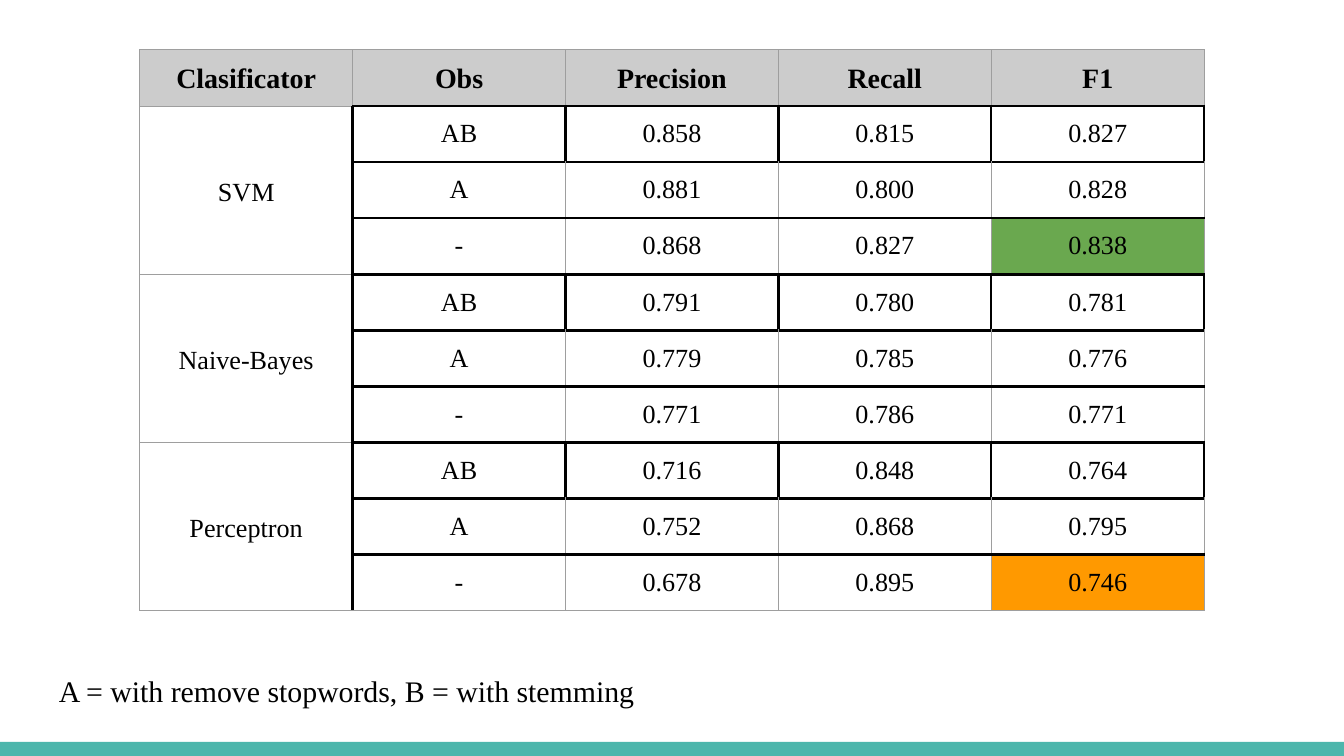
from lxml import etree
from pptx import Presentation, util as u
from pptx.dml import color
from pptx.enum import shapes, text
from pptx.oxml import ns

FONT = "Times New Roman"
GRAY, BLACK = ("9E9E9E", 0.75), ("000000", 1.5)
HEADS = ["Clasificator", "Obs", "Precision", "Recall", "F1"]
MODES = ["AB", "A", "-"]
SCORES = {
    "SVM": [("0.858", "0.815", "0.827"),
            ("0.881", "0.800", "0.828"),
            ("0.868", "0.827", "0.838")],
    "Naive-Bayes": [("0.791", "0.780", "0.781"),
                    ("0.779", "0.785", "0.776"),
                    ("0.771", "0.786", "0.771")],
    "Perceptron": [("0.716", "0.848", "0.764"),
                   ("0.752", "0.868", "0.795"),
                   ("0.678", "0.895", "0.746")],
}
MARKS = {(3, 4): "6AA84F", (9, 4): "FF9900"}


def rgb(code):
    return color.RGBColor.from_string(code)


def paint(item, code):
    if code is None:
        item.fill.background()
        return
    item.fill.solid()
    item.fill.fore_color.rgb = rgb(code)


def assign(item, values):
    for name, value in values.items():
        setattr(item, name, value)


def write(par, words, size, bold=False):
    run = par.add_run()
    run.text = words
    assign(run.font, {"name": FONT, "size": u.Pt(size), "bold": bold})
    run.font.color.rgb = rgb("000000")


def pads(length, base):
    sides = {"left": length, "top": length, "right": length, "bottom": base}
    return {f"margin_{side}": u.Inches(gap) for side, gap in sides.items()}


def edge(cell, lines):
    """Put the borders ahead of the fill, as the schema orders them."""
    props = cell._tc.get_or_add_tcPr()
    for spot, side in enumerate("LRTB"):
        code, width = lines[side]
        line = etree.Element(ns.qn(f"a:ln{side}"), w=str(u.Pt(width)))
        fill = etree.SubElement(line, ns.qn("a:solidFill"))
        etree.SubElement(fill, ns.qn("a:srgbClr"), val=code)
        props.insert(spot, line)


def rules(row, col, last):
    """Black under each row and around AB cells, gray elsewhere."""
    body = row > 0 and col > 0
    box = body and row % 3 == 1
    dark = {
        "L": box or (body and col == 1),
        "R": box or (row > 0 and col == 0),
        "T": body,
        "B": col > 0 and row < last,
    }
    return {side: BLACK if on else GRAY for side, on in dark.items()}


def add_grid(slide):
    rows = [HEADS]
    for name, block in SCORES.items():
        for mode, nums in zip(MODES, block):
            rows.append([name if mode == "AB" else "", mode, *nums])
    count, width, high = len(rows), 7.92, 4.17
    frame = slide.shapes.add_table(
        count, len(HEADS), u.Inches(1.04), u.Inches(0.37),
        u.Inches(width), u.Inches(high))
    grid = frame.table
    for col in grid.columns:
        col.width = u.Inches(width / len(HEADS))
    for line in grid.rows:
        line.height = u.Inches(high / count)

    # Cells
    for row, line in enumerate(rows):
        for col, words in enumerate(line):
            cell = grid.cell(row, col)
            assign(cell, pads(0.1, 0.07))
            paint(cell, MARKS.get((row, col), None if row else "CCCCCC"))
            edge(cell, rules(row, col, count - 1))
            if words:
                par = cell.text_frame.paragraphs[0]
                par.alignment = text.PP_ALIGN.CENTER
                write(par, words, 14 if row else 15, row == 0)

    # One merged name cell per block
    for top in range(1, count, len(MODES)):
        cell = grid.cell(top, 0)
        cell.merge(grid.cell(top + len(MODES) - 1, 0))
        cell.vertical_anchor = text.MSO_ANCHOR.MIDDLE


def add_note(slide, words):
    box = slide.shapes.add_textbox(
        u.Inches(0.34), u.Inches(0.36), u.Inches(9.32), u.Inches(5.01))
    frame = box.text_frame
    assign(frame, {"word_wrap": True,
                   "vertical_anchor": text.MSO_ANCHOR.BOTTOM,
                   **pads(0.1, 0.1)})
    par = frame.paragraphs[0]
    par.line_spacing = 1.15
    write(par, words, 16)


def add_band(slide):
    band = slide.shapes.add_shape(
        shapes.MSO_SHAPE.RECTANGLE, 0, u.Inches(5.52),
        u.Inches(10), u.Inches(0.11))
    band.shadow.inherit = False
    band.line.fill.background()
    paint(band, "4DB6AC")


def main():
    # Widescreen page, 16 to 9
    deck = Presentation()
    assign(deck, {"slide_width": u.Inches(10),
                  "slide_height": u.Inches(10 * 9 / 16)})
    slide = deck.slides.add_slide(deck.slide_layouts[6])
    paint(slide.background, "FFFFFF")
    add_band(slide)
    add_note(slide, "A = with remove stopwords, B = with stemming")
    add_grid(slide)
    deck.save("out.pptx")


main()
